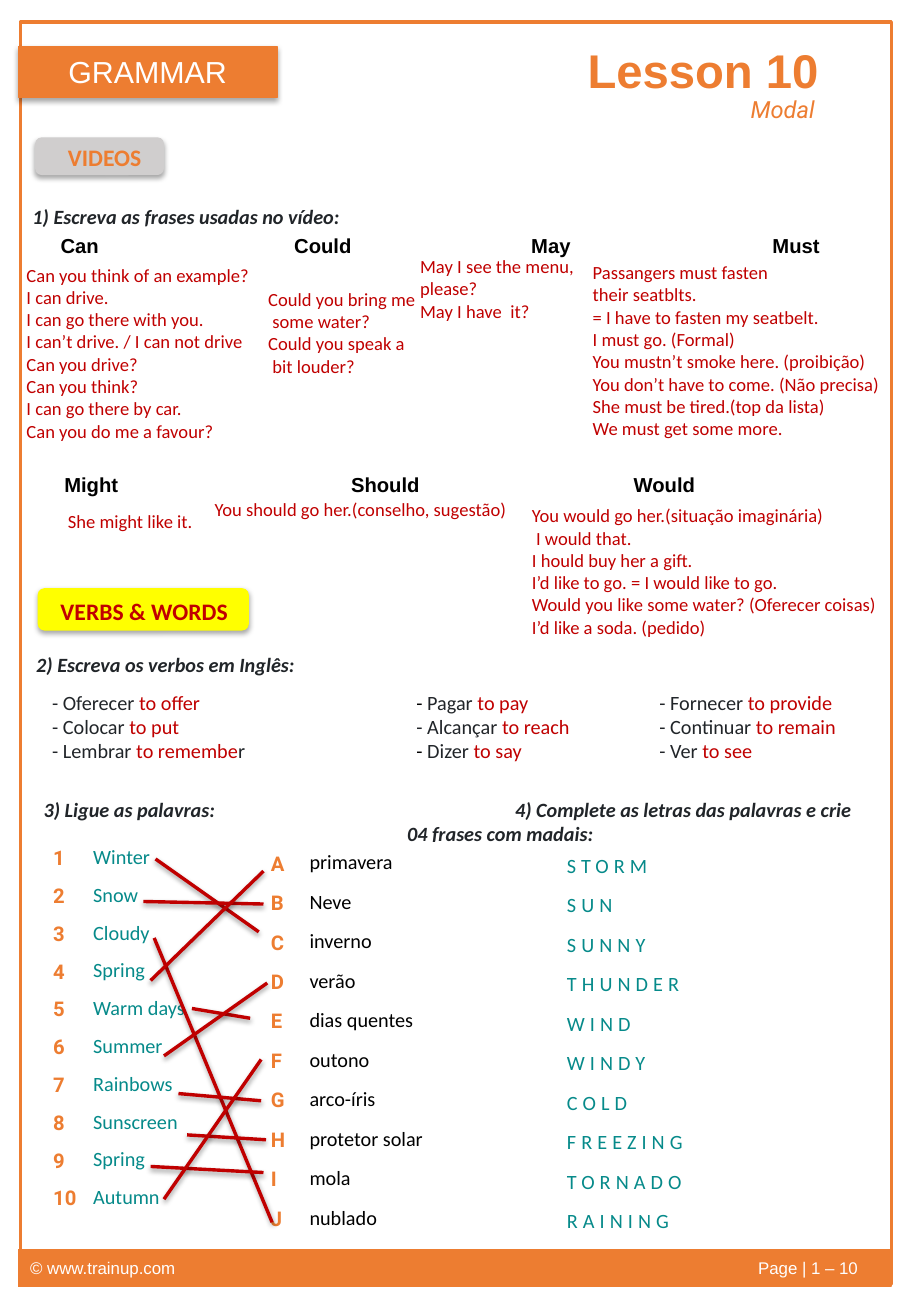
from lxml import etree
from pptx import Presentation
from pptx.dml.color import RGBColor
from pptx.enum.shapes import MSO_CONNECTOR, MSO_SHAPE as SHAPE
from pptx.enum.text import MSO_ANCHOR, MSO_AUTO_SIZE, PP_ALIGN
from pptx.oxml.ns import qn
from pptx.util import Pt

rgb = RGBColor.from_string
ORANGE, RED, TEAL = "ED7D31", "C00000", "068A8A"
INK, BLACK, WHITE, YELLOW = "212529", "000000", "FFFFFF", "FFFF00"


def write(box, rows, font, size, color, bold=False, italic=False,
          stops=(), after=0, leading=None, tracking=0):
    """Fill a shape with paragraphs; a row is a string or a list of (text, color) runs."""
    frame = box.text_frame
    for index, row in enumerate(rows):
        para = frame.paragraphs[0] if index == 0 else frame.add_paragraph()
        para.space_after = Pt(after)
        if leading:
            para.line_spacing = leading
        if stops:
            tabs = etree.SubElement(para._p.get_or_add_pPr(), qn("a:tabLst"))
            for stop in stops:
                etree.SubElement(tabs, qn("a:tab"), pos=str(Pt(stop)), algn="l")
        for text, shade in [(row, color)] if isinstance(row, str) else row:
            span = para.add_run()
            span.text = text
            span.font.name, span.font.size = font, Pt(size)
            span.font.bold, span.font.italic = bold, italic
            span.font.color.rgb = rgb(shade)
            if tracking:
                span._r.get_or_add_rPr().set("spc", str(tracking * 100))


def cast_shadow(effects, distance, opacity):
    shadow = etree.SubElement(
        effects, qn("a:outerShdw"), blurRad=str(Pt(3.1)), dist=str(Pt(distance)),
        dir="5400000", algn="t", rotWithShape="0")
    shade = etree.SubElement(shadow, qn("a:srgbClr"), val=BLACK)
    etree.SubElement(shade, qn("a:alpha"), val=str(opacity * 1000))


deck = Presentation()
deck.slide_width, deck.slide_height = Pt(540), Pt(779.8)
page = deck.slides.add_slide(deck.slide_layouts[6])

# Page frame, banner, section labels and footer
panels = {}
for name, kind, place, fill, line_width, has_shadow in [
    ("footer", SHAPE.RECTANGLE, (10.8, 740.2, 517.7, 22.3), ORANGE, 0, False),
    ("frame", SHAPE.RECTANGLE, (12.2, 13, 516.2, 748), None, 2, False),
    ("banner", SHAPE.ROUNDED_RECTANGLE, (10.8, 27.4, 153.4, 30.2), ORANGE, 0.75, True),
    ("videos", SHAPE.ROUNDED_RECTANGLE, (20.9, 81.4, 76.3, 22.3), "D0CECE", 0, True),
    ("verbs", SHAPE.ROUNDED_RECTANGLE, (22.3, 348.5, 125.3, 25.2), YELLOW, 0, True),
]:
    panel = page.shapes.add_shape(kind, *map(Pt, place))
    panel.shadow.inherit = False
    if has_shadow:
        cast_shadow(panel._element.spPr.find(qn("a:effectLst")), 1.8, 35)
    if fill:
        panel.fill.solid()
        panel.fill.fore_color.rgb = rgb(fill)
    else:
        panel.fill.background()
    if line_width:
        panel.line.color.rgb = rgb(ORANGE)
        panel.line.width = Pt(line_width)
    else:
        panel.line.fill.background()
    panel.text_frame.vertical_anchor = MSO_ANCHOR.MIDDLE
    panels[name] = panel

panels["banner"].adjustments[0] = 0
write(panels["banner"], ["GRAMMAR"], "Arial", 18, WHITE)
panels["banner"].text_frame.paragraphs[0].alignment = PP_ALIGN.CENTER
write(panels["footer"], ["© www.trainup.com\tPage | 1 – 10"], "Arial", 10, WHITE, stops=[431.5])
panels["footer"].text_frame.paragraphs[0].alignment = PP_ALIGN.LEFT

# Titles, headings and exercise prompts
label = dict(font="Calibri", size=14, bold=True, after=8, leading=1.07)
prompt = dict(font="Calibri", size=12, color=INK, bold=True, italic=True)
heading = dict(font="Arial", size=12, color=BLACK, bold=True)
for place, rows, style in [
    ((341.3, 20.9, 153.4, 41), ["Lesson 10"],
     dict(font="Arial", size=28, color=ORANGE, bold=True)),
    ((437.8, 52.6, 60, 24.5), ["Modal"],
     dict(font="Roboto", size=14, color=ORANGE, italic=True)),
    ((33.1, 79.9, 62, 24.5), ["VIDEOS"], dict(label, color=ORANGE)),
    ((28.8, 349.2, 116, 24.5), ["VERBS & WORDS"], dict(label, color=RED)),
    ((12.2, 117.4, 453.6, 21.6), ["1) Escreva as frases usadas no vídeo:"], prompt),
    ((14.4, 383, 453.6, 21.6), ["2) Escreva os verbos em Inglês:"], prompt),
    ((18.7, 468.7, 505.4, 36),
     ["3) Ligue as palavras:\t4) Complete as letras das palavras e crie"],
     dict(prompt, stops=[279.5])),
    ((18.7, 483.1, 505.4, 21.6), ["\t04 frases com madais:"], dict(prompt, stops=[215.5])),
    ((28.8, 134.6, 500, 21.6), ["Can\tCould\tMay\tMust"],
     dict(heading, stops=[138.5, 279, 422])),
    ((31, 276.5, 428.4, 21.6), ["Might\tShould\tWould"], dict(heading, stops=[170, 337.5])),
    ((23.8, 405.4, 504, 51.1), [
        [("- Oferecer ", INK), ("to offer", RED), ("\t- ", BLACK), ("Pagar ", INK),
         ("to pay", RED), ("\t- Fornecer ", INK), ("to provide", RED)],
        [("- Colocar ", INK), ("to put", RED), ("\t- Alcançar ", INK),
         ("to reach", RED), ("\t- Continuar", INK), (" to remain", RED)],
        [("- Lembrar ", INK), ("to remembe", RED), ("r", INK), ("\t- ", BLACK),
         ("Dizer ", INK), ("to say", RED), ("\t- Ver ", INK), ("to see", RED)],
    ], dict(font="Calibri", size=12, color=INK, stops=[216, 360])),
]:
    box = page.shapes.add_textbox(*map(Pt, place))
    box.text_frame.word_wrap = True
    write(box, rows, **style)

# Sentences under each modal verb
for place, sentences in [
    ((8.6, 152.6, 147.6, 113.8), [
        "Can you think of an example?", "I can drive.", "I can go there with you.",
        "I can’t drive. / I can not drive", "Can you drive?", "Can you think?",
        "I can go there by car.", "Can you do me a favour?"]),
    ((151.9, 167, 102.2, 74.2), [
        "Could you bring me", " some water?", "Could you speak a", " bit louder?"]),
    ((241.9, 147.6, 108.7, 60.5), ["May I see the menu,", "please?", "May I have  it?"]),
    ((344.2, 151.2, 186.5, 113.8), [
        "Passangers must fasten", "their seatblts.", "= I have to fasten my seatbelt.",
        "I must go. (Formal)", "You mustn’t smoke here. (proibição)",
        "You don’t have to come. (Não precisa)", "She must be tired.(top da lista)",
        "We must get some more."]),
    ((33.1, 298.8, 91.4, 20.9), ["She might like it."]),
    ((120.2, 291.6, 190.8, 33.8), ["You should go her.(conselho, sugestão)"]),
    ((308.2, 295.2, 221.8, 87.1), [
        "You would go her.(situação imaginária)", " I would that.",
        "I hould buy her a gift.", "I’d like to go. = I would like to go.",
        "Would you like some water? (Oferecer coisas)", "I’d like a soda. (pedido)"]),
]:
    box = page.shapes.add_textbox(*map(Pt, place))
    box.text_frame.word_wrap = False
    write(box, sentences, "Calibri", 11, RED)

# Matching columns and the spelled-out words
for place, words, style in [
    ((24.5, 497.5, 40.3, 225.4), [str(number) for number in range(1, 11)],
     dict(font="Roboto", color=ORANGE, bold=True)),
    ((48.2, 496.8, 76.3, 225.4),
     ["Winter", "Snow", "Cloudy", "Spring", "Warm days", "Summer", "Rainbows",
      "Sunscreen", "Spring", "Autumn"], dict(font="Calibri", color=TEAL)),
    ((176.4, 499, 120.2, 234.7),
     ["primavera", "Neve", "inverno", "verão", "dias quentes", "outono", "arco-íris",
      "protetor solar", "mola", "nublado"],
     dict(font="Calibri", color=BLACK, leading=1.07)),
    ((329, 501.1, 185.8, 234.7),
     ["STORM", "SUN", "SUNNY", "THUNDER", "WIND", "WINDY", "COLD", "FREEZING",
      "TORNADO", "RAINING"],
     dict(font="Calibri", color=TEAL, leading=1.07, tracking=3)),
    ((153.4, 499.7, 29.5, 234.7), list("ABCDEFGHIJ"),
     dict(font="Roboto", color=ORANGE, bold=True, leading=1.07)),
]:
    box = page.shapes.add_textbox(*map(Pt, place))
    box.fill.solid()
    box.fill.fore_color.rgb = rgb(WHITE)
    box.text_frame.word_wrap = True
    box.text_frame.auto_size = MSO_AUTO_SIZE.SHAPE_TO_FIT_TEXT
    write(box, words, size=12, after=8, **style)

# Lines joining the matching words
for ends in [
    (92.2, 509, 153.4, 552.2), (85, 534.2, 156.2, 535.7),
    (91.4, 555.8, 161.3, 724.3), (89.3, 581, 156.2, 516.2),
    (113.8, 597.6, 148.3, 603.4), (97.2, 625.7, 158.4, 582.5),
    (105.8, 648, 154.8, 652.3), (110.9, 672.5, 157.7, 675.4),
    (89.3, 691.2, 156.2, 694.8), (97.2, 710.6, 154.8, 627.8),
]:
    match = page.shapes.add_connector(MSO_CONNECTOR.STRAIGHT, *map(Pt, ends))
    match.line.color.rgb = rgb(RED)
    match.line.width = Pt(2)
    cast_shadow(etree.SubElement(match._element.spPr, qn("a:effectLst")), 1.6, 38)

deck.save("out.pptx")
